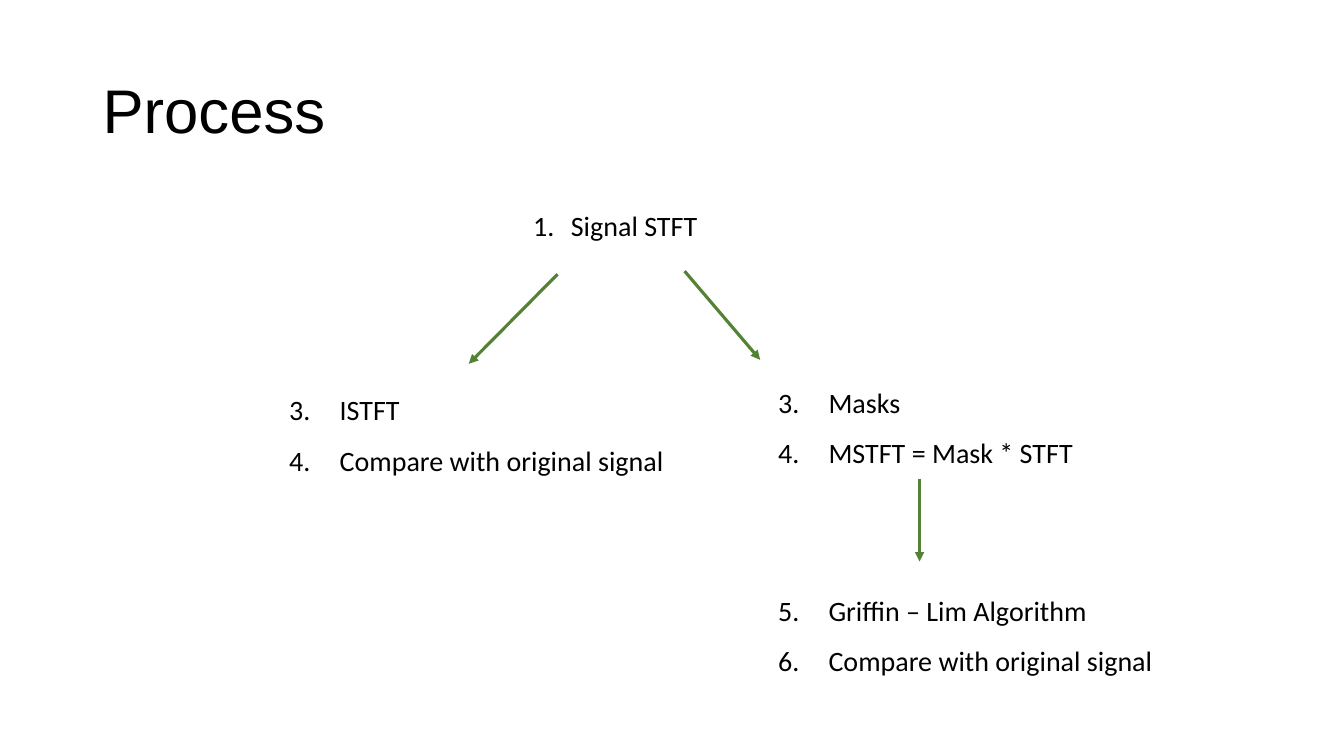
from dataclasses import dataclass

from lxml.etree import SubElement
from pptx import Presentation
from pptx.dml.color import RGBColor
from pptx.enum.shapes import MSO_CONNECTOR
from pptx.enum.text import MSO_ANCHOR, MSO_AUTO_SIZE
from pptx.oxml.ns import qn
from pptx.slide import Slide
from pptx.text.text import TextFrame, _Paragraph
from pptx.util import Emu, Inches, Pt

SLIDE_WIDTH, SLIDE_HEIGHT = Inches(13.33), Inches(7.5)
INK, ARROW_GREEN = "000000", "548235"


@dataclass(frozen=True)
class Area:
    """A region in percent of the slide's width and height."""
    left: float
    top: float
    width: float
    height: float


@dataclass(frozen=True)
class StepList:
    """Numbered steps, with the hanging indent in percent of the slide's width."""
    area: Area
    first_number: int
    steps: tuple[str, ...]
    indent: float = 3.75


@dataclass(frozen=True)
class Arrow:
    """An arrow between two points in percent of the slide's size."""
    start: tuple[float, float]
    end: tuple[float, float]


TITLE_AREA = Area(6.9, 5.33, 86.27, 19.33)
STEP_LISTS = (
    StepList(Area(20.78, 49.07, 37.5, 14.27), 3, ("ISTFT", "Compare with original signal")),
    StepList(Area(38.93, 24.67, 29.56, 7.47), 1, ("Signal STFT",), indent=2.81),
    StepList(Area(57.16, 48.13, 29.56, 14.27), 3, ("Masks", "MSTFT = Mask * STFT")),
    StepList(Area(57.16, 75.6, 38.56, 14.27), 5,
             ("Griffin – Lim Algorithm", "Compare with original signal")),
)
ARROWS = (
    Arrow((41.49, 36.27), (34.88, 48.13)),
    Arrow((50.94, 35.87), (56.56, 47.6)),
    Arrow((68.42, 63.33), (68.42, 74.27)),
)


def across(percent: float) -> Emu:
    """Turn a share of the slide's width into a length."""
    return Emu(round(SLIDE_WIDTH * percent / 100))


def down(percent: float) -> Emu:
    """Turn a share of the slide's height into a length."""
    return Emu(round(SLIDE_HEIGHT * percent / 100))


def color(hex_code: str) -> RGBColor:
    """Turn a hex string into a colour."""
    return RGBColor.from_string(hex_code)


def add_text(slide: Slide, area: Area, text: str) -> TextFrame:
    """Place wrapping text in an area."""
    frame = slide.shapes.add_textbox(
        across(area.left), down(area.top), across(area.width), down(area.height)
    ).text_frame
    frame.word_wrap = True
    frame.text = text
    return frame


def style(paragraph: _Paragraph, font: str, size: float, spacing: float) -> None:
    """Set a paragraph's line spacing and the look of its runs."""
    paragraph.line_spacing = spacing
    for run in paragraph.runs:
        run.font.name = font
        run.font.size = Pt(size)
        run.font.color.rgb = color(INK)


def add_title(slide: Slide, text: str) -> None:
    """Add the vertically centred slide title."""
    frame = add_text(slide, TITLE_AREA, text)
    frame.vertical_anchor = MSO_ANCHOR.MIDDLE
    style(frame.paragraphs[0], "Arial", 44, 0.9)


def add_step_list(slide: Slide, step_list: StepList) -> None:
    """Add a list of automatically numbered steps."""
    frame = add_text(slide, step_list.area, "\n".join(step_list.steps))
    frame.auto_size = MSO_AUTO_SIZE.SHAPE_TO_FIT_TEXT
    indent = across(step_list.indent)
    for step in frame.paragraphs:
        style(step, "Calibri", 20, 1.5)
        properties = step._p.get_or_add_pPr()
        properties.set("marL", str(indent))
        properties.set("indent", str(-indent))
        SubElement(properties, qn("a:buFont"), typeface="+mj-lt")
        SubElement(properties, qn("a:buAutoNum"), type="arabicPeriod",
                   startAt=str(step_list.first_number))


def add_arrow(slide: Slide, arrow: Arrow) -> None:
    """Add a green arrow with a triangular head at its end."""
    (start_x, start_y), (end_x, end_y) = arrow.start, arrow.end
    connector = slide.shapes.add_connector(
        MSO_CONNECTOR.STRAIGHT, across(start_x), down(start_y), across(end_x), down(end_y)
    )
    connector.line.color.rgb = color(ARROW_GREEN)
    connector.line.width = Pt(2.25)
    SubElement(connector.line._get_or_add_ln(), qn("a:tailEnd"), type="triangle")
    SubElement(connector._element.spPr, qn("a:effectLst"))


def main() -> None:
    """Build and save the process slide."""
    presentation = Presentation()
    presentation.slide_width, presentation.slide_height = SLIDE_WIDTH, SLIDE_HEIGHT
    slide = presentation.slides.add_slide(presentation.slide_layouts[6])
    add_title(slide, "Process")
    for step_list in STEP_LISTS:
        add_step_list(slide, step_list)
    for arrow in ARROWS:
        add_arrow(slide, arrow)
    presentation.save("out.pptx")


if __name__ == "__main__":
    main()
